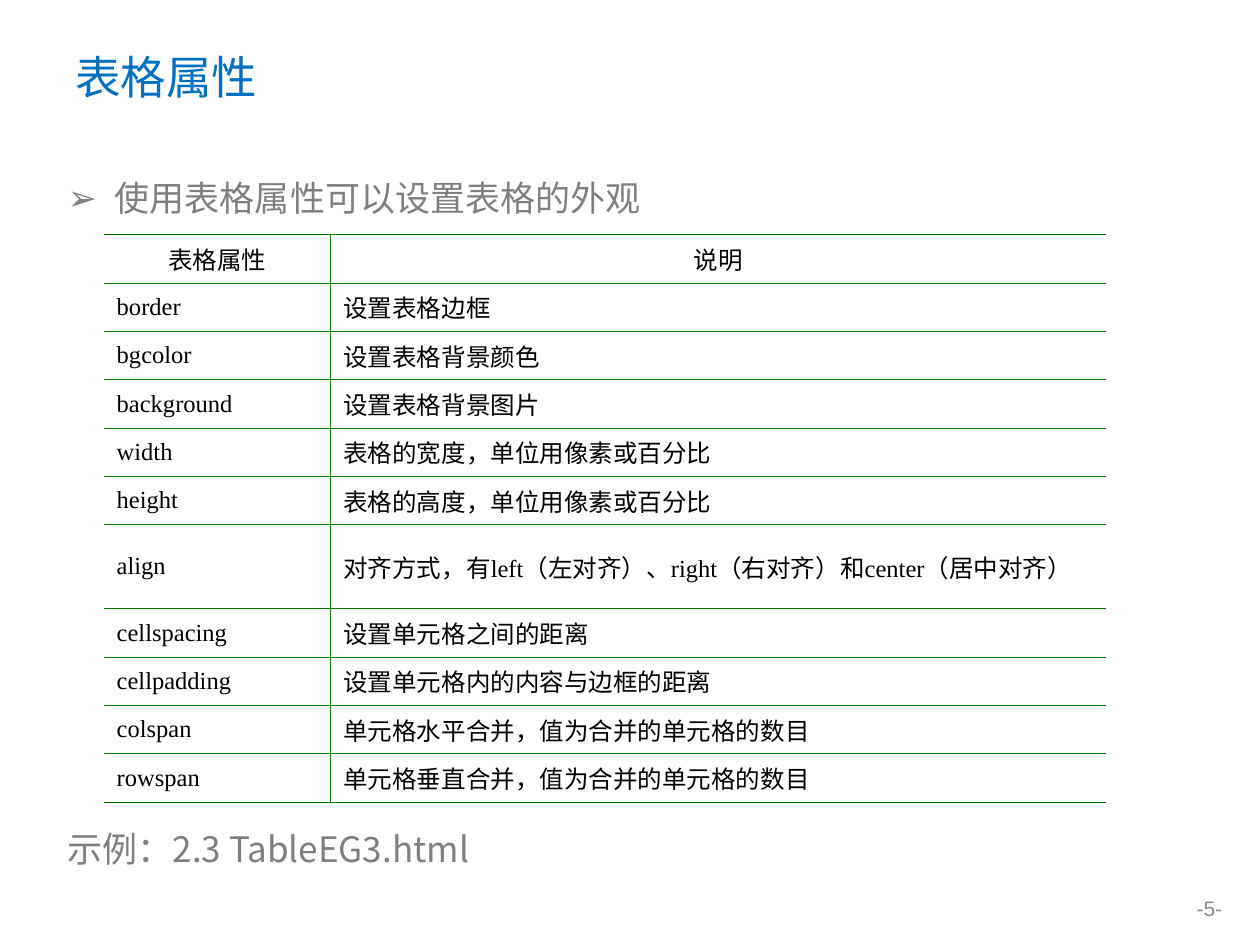
import lxml.etree
import pptx
import pptx.dml.color
import pptx.enum.text
import pptx.oxml.ns
import pptx.util

Pt = pptx.util.Pt
RGBColor = pptx.dml.color.RGBColor
MIDDLE = pptx.enum.text.MSO_ANCHOR.MIDDLE
ALIGN = pptx.enum.text.PP_ALIGN
qn = pptx.oxml.ns.qn

BLUE = RGBColor(0x00, 0x70, 0xC0)
GRAY = RGBColor(0x7F, 0x7F, 0x7F)
PAGE_GRAY = RGBColor(0x89, 0x89, 0x89)
BLACK = RGBColor(0x00, 0x00, 0x00)
GREEN = RGBColor(0x00, 0x80, 0x00)
CJK = "Noto Sans CJK SC"
HANGING = Pt(27)

ATTRIBUTES = [
    ("表格属性", "说明"),
    ("border", "设置表格边框"),
    ("bgcolor", "设置表格背景颜色"),
    ("background", "设置表格背景图片"),
    ("width", "表格的宽度，单位用像素或百分比"),
    ("height", "表格的高度，单位用像素或百分比"),
    ("align", "对齐方式，有left（左对齐）、right（右对齐）和center（居中对齐）"),
    ("cellspacing", "设置单元格之间的距离"),
    ("cellpadding", "设置单元格内的内容与边框的距离"),
    ("colspan", "单元格水平合并，值为合并的单元格的数目"),
    ("rowspan", "单元格垂直合并，值为合并的单元格的数目"),
]


def write(paragraph, text, size, font, color, hanging=False, bullet=None):
    paragraph.text = text
    properties = paragraph._p.get_or_add_pPr()
    if hanging:
        properties.set("marL", str(HANGING))
        properties.set("indent", str(-HANGING))
    if bullet:
        lxml.etree.SubElement(properties, qn("a:buFont")).set("typeface", "Arial")
        lxml.etree.SubElement(properties, qn("a:buChar")).set("char", bullet)
    paragraph.font.size = Pt(size)
    paragraph.font.name = font
    paragraph.font.color.rgb = color
    defaults = properties.find(qn("a:defRPr"))
    lxml.etree.SubElement(defaults, qn("a:ea")).set("typeface", CJK)


def add_text_frame(left, top, width, height):
    frame = slide.shapes.add_textbox(Pt(left), Pt(top), Pt(width), Pt(height)).text_frame
    frame.word_wrap = True
    return frame


deck = pptx.Presentation()
deck.slide_width, deck.slide_height = Pt(720), Pt(540)
slide = deck.slides.add_slide(deck.slide_layouts[6])

title = add_text_frame(36, 21.6, 648, 44)
title.vertical_anchor = MIDDLE
write(title.paragraphs[0], "表格属性", 26, CJK, BLUE)

body = add_text_frame(31.5, 100, 658, 402.5)
intro = body.paragraphs[0]
write(intro, "使用表格属性可以设置表格的外观", 20, CJK, GRAY, hanging=True, bullet="➢")
intro.line_spacing = 0.9
example = body.add_paragraph()
write(example, "示例：2.3 TableEG3.html", 20, CJK, GRAY, hanging=True)
example.line_spacing = 0.9
example.space_before = Pt(350.5)

table = slide.shapes.add_table(
    len(ATTRIBUTES), 2, Pt(59.5), Pt(134), Pt(572.5), Pt(324.5)
).table
table.first_row = False
table.horz_banding = False
table.columns[0].width = Pt(129.5)
table.columns[1].width = Pt(443)

for row, texts in enumerate(ATTRIBUTES):
    table.rows[row].height = Pt(48 if texts[0] == "align" else 27.65)
    for column, text in enumerate(texts):
        cell = table.cell(row, column)
        cell.vertical_anchor = MIDDLE
        cell.fill.background()
        paragraph = cell.text_frame.paragraphs[0]
        write(paragraph, text, 14, "Times New Roman", BLACK, hanging=True)
        paragraph.alignment = ALIGN.CENTER if row == 0 else ALIGN.LEFT
        borders = {
            "a:lnL": 0.75 if column == 1 else 0,
            "a:lnR": 0.75 if column == 0 else 0,
            "a:lnT": 0.75 if row == 0 else 0.45,
            "a:lnB": 0.45,
        }
        cell_properties = cell._tc.get_or_add_tcPr()
        for position, (side, weight) in enumerate(borders.items()):
            border = lxml.etree.Element(qn(side), w=str(Pt(weight)))
            cell_properties.insert(position, border)
            if weight:
                fill = lxml.etree.SubElement(border, qn("a:solidFill"))
                lxml.etree.SubElement(fill, qn("a:srgbClr")).set("val", str(GREEN))
            else:
                lxml.etree.SubElement(border, qn("a:noFill"))

page_number = add_text_frame(654.5, 508.5, 51, 21)
page_number.vertical_anchor = MIDDLE
write(page_number.paragraphs[0], "-5-", 12, "Arial", PAGE_GRAY)
page_number.paragraphs[0].alignment = ALIGN.RIGHT

deck.save("out.pptx")
